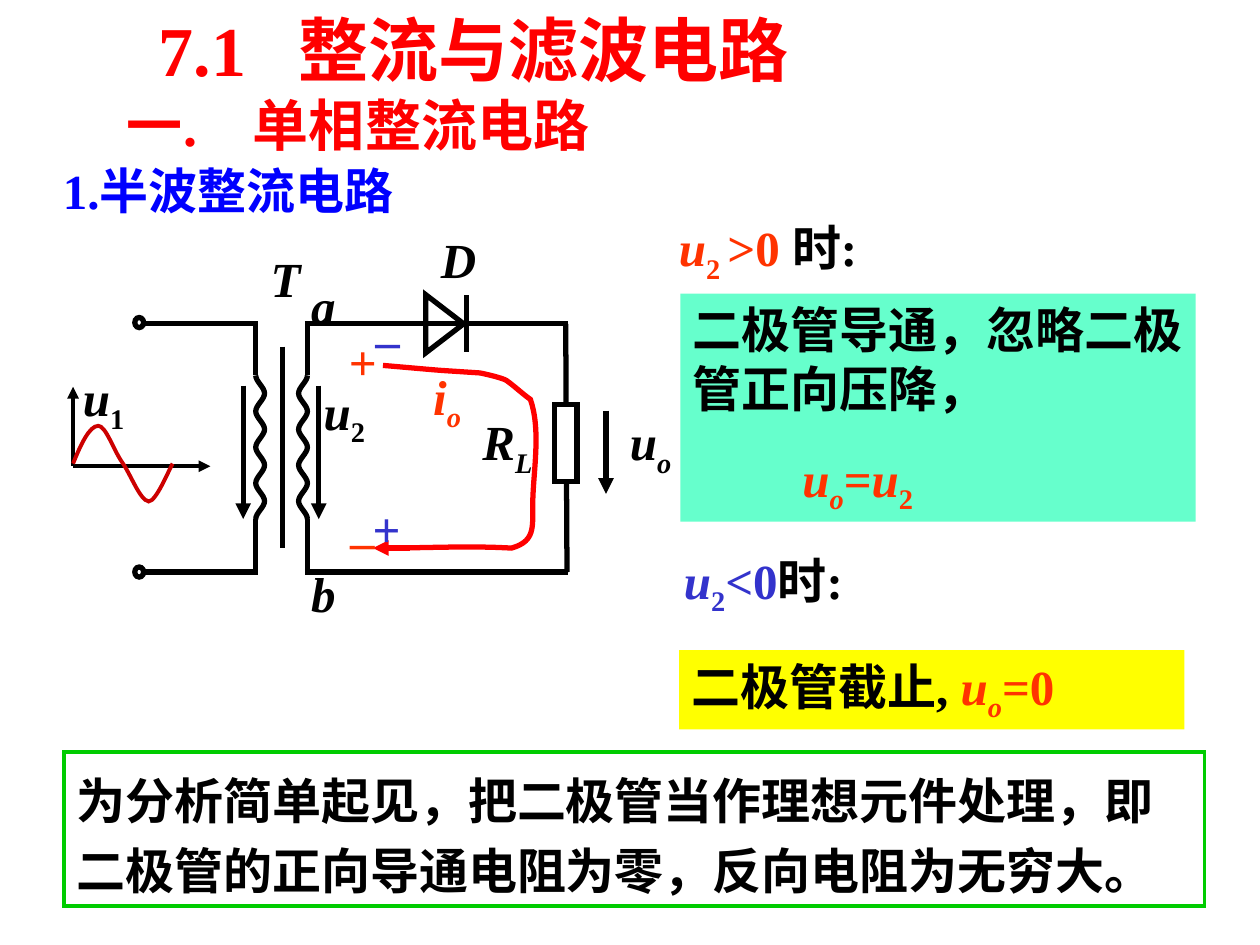
from lxml.etree import SubElement
from pptx import Presentation
from pptx.dml.color import RGBColor
from pptx.enum.shapes import MSO_CONNECTOR as Connector, MSO_SHAPE as Shape
from pptx.enum.text import MSO_ANCHOR as Anchor, MSO_AUTO_SIZE as AutoSize, PP_ALIGN as Align
from pptx.oxml.ns import qn
from pptx.util import Inches, Pt

FONT = "Times New Roman"
BLACK, RED, BLUE = "000000", "FF0000", "0000FF"
ORANGE, INDIGO, DARK_RED = "FF3300", "3333CC", "CC0000"

TITLE = ("7.1\t整流与滤波电路", (1.16, 0, 5.47, 0.77), 40, 1.11)
SECTION = ("一.\t单相整流电路", (0.91, 0.67, 5.47, 0.64), 32, 1.0)

# text, colour, style: "i" italic, "s" subscript
HEADINGS = [
    ((0.4, 1.22, 2.95, 0.57), [("1.半波整流电路", BLUE, "")]),
    ((5.29, 1.68, 1.85, 0.63),
     [("u", ORANGE, "i"), ("2 ", ORANGE, "s"), (">0 ", ORANGE, ""), ("时:", BLACK, "")]),
    ((5.33, 4.32, 1.7, 0.63),
     [("u", INDIGO, "i"), ("2", INDIGO, "s"), ("<0", INDIGO, ""), ("时:", BLACK, "")]),
]
PANELS = [
    ((5.4, 2.33, 4.09, 1.81), "66FFCC", None, 1, [
        [("二极管导通，忽略二极管正向压降，", BLACK, "")],
        [("u", ORANGE, "i"), ("o", ORANGE, "is"), ("=", ORANGE, ""),
         ("u", ORANGE, "i"), ("2", ORANGE, "s")]]),
    ((5.39, 5.16, 4.01, 0.63), "FFFF00", None, 1, [
        [("二极管截止, ", BLACK, ""), ("u", ORANGE, "i"), ("o", ORANGE, "is"),
         ("=0", ORANGE, "")]]),
    ((0.51, 5.97, 9.05, 1.22), None, "00CC00", 1.2, [
        [("为分析简单起见，把二极管当作理想元件处理，即二极管的正向导通电阻为零，"
          "反向电阻为无穷大。", BLACK, "")]]),
]
# left, top, width, symbol, subscript, colour, symbol style, subscript style
LABELS = [
    (0.56, 2.87, 0.55, "u", "1", BLACK, "i", "s"),
    (2.47, 2.98, 0.55, "u", "2", BLACK, "i", "s"),
    (2.37, 2.14, 0.42, "a", "", BLACK, "i", ""),
    (2.05, 1.92, 0.45, "T", "", BLACK, "i", ""),
    (2.37, 4.42, 0.42, "b", "", BLACK, "i", ""),
    (3.4, 1.77, 0.55, "D", "", BLACK, "i", ""),
    (3.73, 3.22, 0.99, "R", "L", BLACK, "i", "is"),
    (4.9, 3.22, 0.55, "u", "o", BLACK, "i", "is"),
    (3.34, 2.86, 0.5, "i", "o", ORANGE, "i", "is"),
    (2.67, 2.58, 0.44, "+", "", ORANGE, "", ""),
    (2.68, 4.0, 0.42, "–", "", ORANGE, "", ""),
    (2.86, 3.91, 0.44, "+", "", INDIGO, "", ""),
    (2.88, 2.41, 0.42, "–", "", INDIGO, "", ""),
]

TOP, BOTTOM, COIL_TOP, COIL_BOTTOM = 2.57, 4.54, 2.98, 4.12
PRIMARY, SECONDARY, COIL_WIDTH, HALF_TURNS = 2.03, 2.44, 0.07, 8
WIRES = [(1.15, y, 2.05, y) for y in (TOP, BOTTOM)]
WIRES += [(2.42, y, 4.51, y) for y in (TOP, BOTTOM)]
WIRES += [(x, y, x, end) for x in (PRIMARY, SECONDARY)
          for y, end in ((TOP, COIL_TOP), (COIL_BOTTOM, BOTTOM))]
WIRES += [(2.24, 2.75, 2.24, 4.35), (4.49, TOP, 4.5, BOTTOM), (3.7, 2.79, 3.7, 2.34)]
ARROWS = [
    ((0.58, 3.7, 0.58, 3.07), BLACK, 2.25), ((0.58, 3.7, 1.67, 3.7), BLACK, 2.25),
    ((4.81, 3.26, 4.81, 3.92), BLACK, 3), ((1.93, 3.06, 1.93, COIL_BOTTOM), BLACK, 3),
    ((2.53, 3.06, 2.53, COIL_BOTTOM), BLACK, 3),
]
PARTS = [
    (Shape.OVAL, (1.07, 2.52, 0.07, 0.08), None, 0),
    (Shape.OVAL, (1.07, 4.5, 0.07, 0.08), None, 0),
    (Shape.ISOSCELES_TRIANGLE, (3.3, 2.42, 0.46, 0.3), None, 90),
    (Shape.RECTANGLE, (4.4, 3.21, 0.18, 0.61), "FFFFFF", 0),
]
# start point, then two handles and an end point for each bend
SINE = [
    (0.58, 3.68), (0.64, 3.53), (0.71, 3.38), (0.78, 3.38), (0.84, 3.38), (0.9, 3.57),
    (0.97, 3.67), (1.04, 3.77), (1.11, 3.97), (1.18, 3.98), (1.24, 3.98), (1.34, 3.73),
    (1.37, 3.68),
]
CURRENT = [
    (3.04, 2.9), (3.62, 2.95), (3.36, 2.93), (3.81, 2.96), (3.86, 2.97), (3.99, 3.0),
    (4.02, 3.02), (4.09, 3.07), (4.14, 3.12), (4.21, 3.17), (4.29, 3.4), (4.24, 3.7),
    (4.23, 3.94), (4.22, 4.16), (4.27, 4.29), (4.06, 4.35), (3.72, 4.33), (3.37, 4.35),
    (3.02, 4.35),
]


def inches(values):
    return [Inches(value) for value in values]


def color(code):
    return RGBColor.from_string(code)


def paint(shape, fill=None, line=None, weight=3):
    shape.shadow.inherit = False
    if fill:
        shape.fill.solid()
        shape.fill.fore_color.rgb = color(fill)
    else:
        shape.fill.background()
    if line:
        shape.line.color.rgb = color(line)
        shape.line.width = Pt(weight)
        SubElement(shape._element.spPr.find(qn("a:ln")), qn("a:miter"), lim="800000")
    else:
        shape.line.fill.background()


def format_span(span, code, style="", size=28):
    font = span.font
    font.name, font.size, font.bold = FONT, Pt(size), True
    font.italic = "i" in style
    font.color.rgb = color(code)
    if "s" in style:
        span._r.get_or_add_rPr().set("baseline", "-25000")


def set_frame(box, anchor=Anchor.TOP):
    frame = box.text_frame
    frame.word_wrap, frame.auto_size = True, AutoSize.NONE
    frame.vertical_anchor = anchor
    return frame


def write(para, spans):
    para.alignment = Align.LEFT
    for text, code, style in spans:
        span = para.add_run()
        span.text = text
        format_span(span, code, style)


def write_tabbed(box, text, size, stop):
    para = set_frame(box).paragraphs[0]
    para.text = text
    para.alignment = Align.LEFT
    tabs = SubElement(para._p.get_or_add_pPr(), qn("a:tabLst"))
    SubElement(tabs, qn("a:tab"), pos=str(Inches(stop)), algn="l")
    for span in para.runs:
        format_span(span, RED, size=size)


def add_text(page, place, spans, anchor=Anchor.TOP):
    write(set_frame(page.shapes.add_textbox(*inches(place)), anchor).paragraphs[0], spans)


def add_panel(page, place, fill, line, spacing, paragraphs):
    panel = page.shapes.add_shape(Shape.RECTANGLE, *inches(place))
    paint(panel, fill, line, 2.25)
    frame = set_frame(panel, Anchor.MIDDLE if line else Anchor.TOP)
    for index, spans in enumerate(paragraphs):
        para = frame.add_paragraph() if index else frame.paragraphs[0]
        para.line_spacing = spacing
        if index:
            para.space_before = Pt(17.5)
            para._p.get_or_add_pPr().set("marL", str(Inches(0.87)))
        write(para, spans)


def add_line(page, ends, code=BLACK, weight=3, arrow=False):
    wire = page.shapes.add_connector(Connector.STRAIGHT, *inches(ends))
    wire.line.color.rgb = color(code)
    wire.line.width = Pt(weight)
    props = wire._element.spPr
    if arrow:
        SubElement(props.find(qn("a:ln")), qn("a:tailEnd"), type="triangle")
    SubElement(props, qn("a:effectLst"))


def add_curve(page, points, code=BLACK, weight=3):
    start, *rest = [tuple(inches(point)) for point in points]
    builder = page.shapes.build_freeform(*start)
    builder.add_line_segments(rest, close=False)
    curve = builder.convert_to_shape()
    segments = list(curve._element.iter(qn("a:lnTo")))
    outline = segments[0].getparent()
    for index in range(0, len(segments), 3):
        bend = SubElement(outline, qn("a:cubicBezTo"))
        for segment in segments[index:index + 3]:
            bend.append(segment[0])
            outline.remove(segment)
    paint(curve, line=code, weight=weight)


def coil_points(x, width):
    step = (COIL_BOTTOM - COIL_TOP) / HALF_TURNS
    points = [(x, COIL_TOP)]
    for turn in range(HALF_TURNS):
        y = COIL_TOP + turn * step
        here, there = (x, x + width) if turn % 2 == 0 else (x + width, x)
        points += [(here, y + step / 3), (there, y + step * 2 / 3), (there, y + step)]
    return points


def add_circuit(page):
    for ends in WIRES:
        add_line(page, ends)
    for ends, code, weight in ARROWS:
        add_line(page, ends, code, weight, arrow=True)
    add_curve(page, coil_points(PRIMARY, COIL_WIDTH))
    add_curve(page, coil_points(SECONDARY, -COIL_WIDTH))
    add_curve(page, SINE, DARK_RED, 2.25)
    for kind, place, fill, turn in PARTS:
        part = page.shapes.add_shape(kind, *inches(place))
        part.rotation = turn
        paint(part, fill, BLACK)
    add_curve(page, CURRENT, RED)
    add_line(page, (3.25, 4.35, 2.96, 4.35), RED, arrow=True)
    for left, top, width, symbol, sub, code, style, sub_style in LABELS:
        spans = [(symbol, code, style)] + ([(sub, code, sub_style)] if sub else [])
        add_text(page, (left, top, width, 0.6), spans)


def main():
    """Build the half-wave rectifier slide."""
    deck = Presentation()
    deck.slide_width, deck.slide_height = inches((10, 7.5))
    page = deck.slides.add_slide(deck.slide_layouts[5])
    text, place, size, stop = TITLE
    title = page.shapes.title
    title.left, title.top, title.width, title.height = inches(place)
    write_tabbed(title, text, size, stop)
    text, place, size, stop = SECTION
    write_tabbed(page.shapes.add_textbox(*inches(place)), text, size, stop)
    for place, spans in HEADINGS:
        add_text(page, place, spans, Anchor.MIDDLE)
    for panel in PANELS:
        add_panel(page, *panel)
    add_circuit(page)
    deck.save("out.pptx")


if __name__ == "__main__":
    main()
